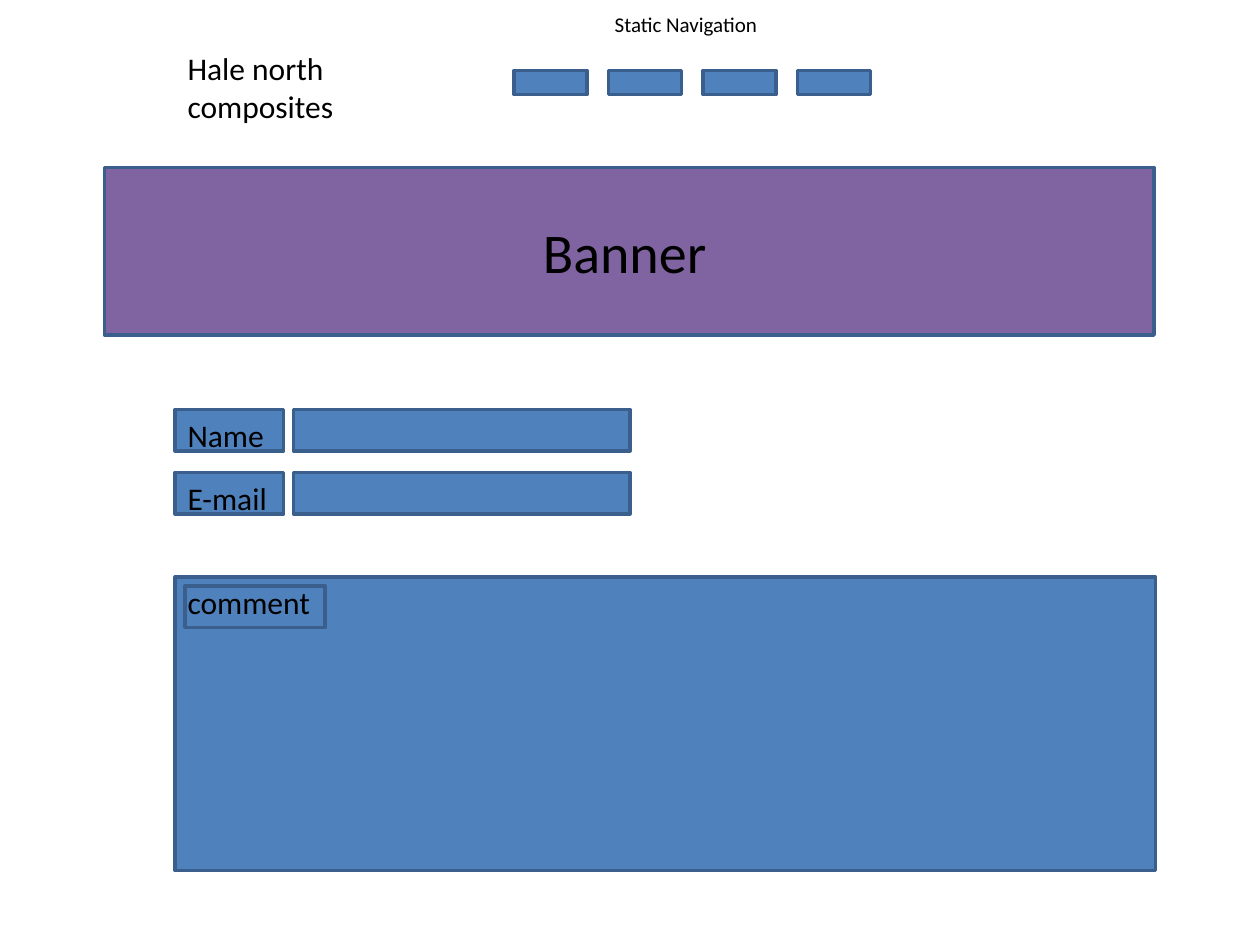
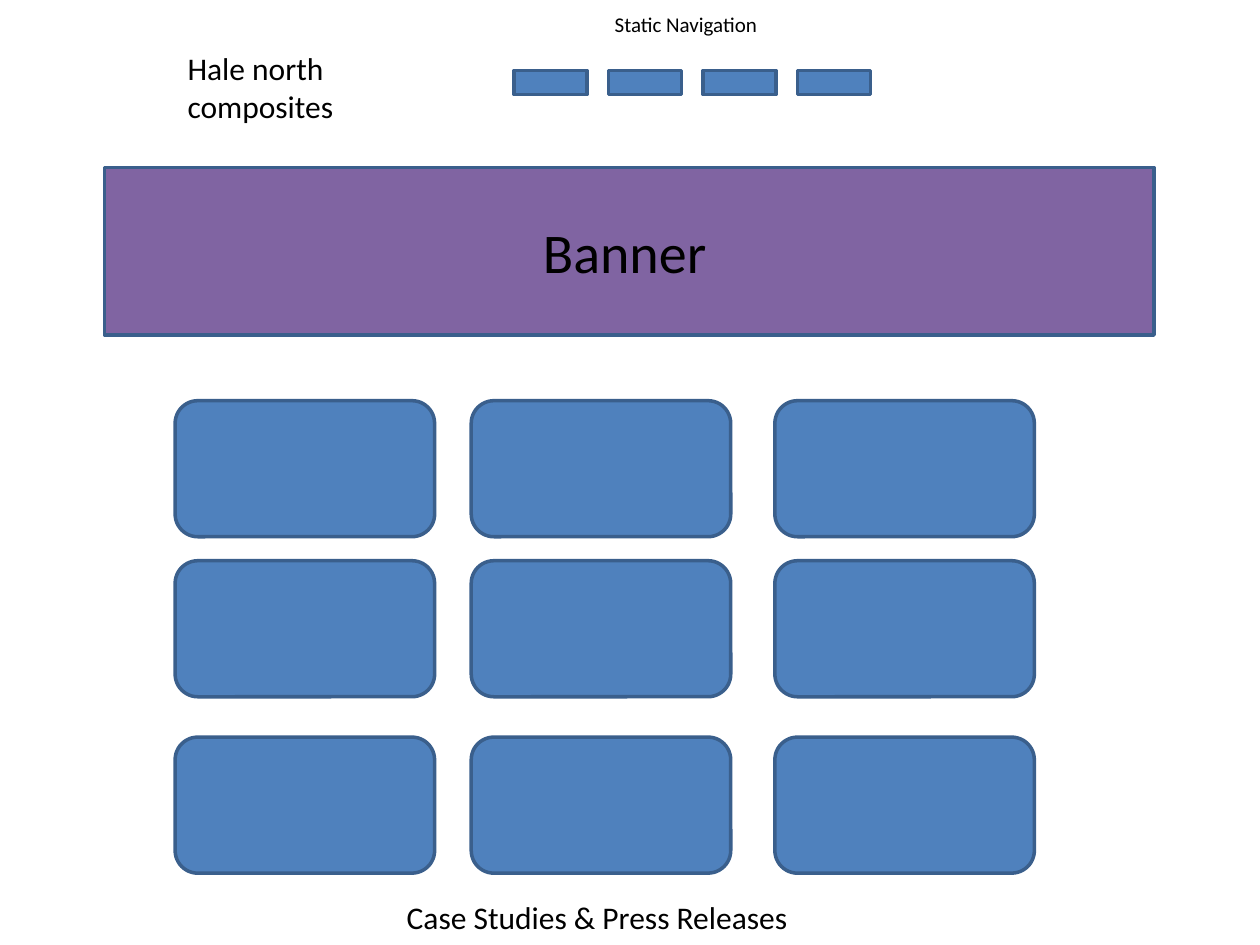
from dataclasses import dataclass

from pptx import Presentation
from pptx import util as u
from pptx.dml.color import RGBColor
from pptx.enum import shapes, text


@dataclass(frozen=True)
class Theme:
    font: str = "Calibri"
    ink: str = "000000"
    block: str = "4F81BD"
    banner: str = "8064A2"
    outline: str = "3A5F8C"
    line: float = 2
    small: int = 12
    body: int = 18
    large: int = 32


theme = Theme()
RECT = shapes.MSO_SHAPE.RECTANGLE
ROUNDED = shapes.MSO_SHAPE.ROUNDED_RECTANGLE


def add_block(parent, kind, x, y, w, h, fill=theme.block):
    sp = parent.shapes.add_shape(kind, *map(u.Inches, (x, y, w, h)))
    sp.shadow.inherit = False
    sp.fill.solid()
    sp.fill.fore_color.rgb = RGBColor.from_string(fill)
    sp.line.color.rgb = RGBColor.from_string(theme.outline)
    sp.line.width = u.Pt(theme.line)


def add_label(parent, words, x, y, w, h, size=theme.body):
    sp = parent.shapes.add_textbox(*map(u.Inches, (x, y, w, h)))
    tf = sp.text_frame
    tf.word_wrap = True
    tf.auto_size = text.MSO_AUTO_SIZE.SHAPE_TO_FIT_TEXT
    r = tf.paragraphs[0].add_run()
    r.text = words
    r.font.name = theme.font
    r.font.size = u.Pt(size)
    r.font.color.rgb = RGBColor.from_string(theme.ink)


prs = Presentation()
prs.slide_width, prs.slide_height = u.Inches(10), u.Inches(7.5)
blank = prs.slide_layouts[6]
contact, studies = [prs.slides.add_slide(blank) for _ in range(2)]
left = 1.39

# Shared header: site name, navigation buttons, banner
for s in (contact, studies):
    add_label(s, "Hale north composites", left, 0.34, 1.5, 0.71)
    nav = s.shapes.add_group_shape()
    for i in range(4):
        add_block(nav, RECT, 4.08 + 0.75 * i, 0.56, 0.58, 0.19)
    add_label(s, "Static Navigation", 4.78, 0.04, 1.42, 0.3, theme.small)
    banner = s.shapes.add_group_shape()
    add_block(banner, RECT, 0.83, 1.33, 8.33, 1.33, theme.banner)
    add_label(banner, "Banner", 4.21, 1.68, 1.65, 0.64, theme.large)

# Contact form: labelled fields
for i, field in enumerate(("Name", "E-mail")):
    y = 3.25 + 0.5 * i
    add_block(contact, RECT, left, y, 0.86, 0.33)
    add_block(contact, RECT, 2.33, y, 2.67, 0.33)
    add_label(contact, field, left, y, 0.86, 0.4)

# Contact form: comment area
add_block(contact, RECT, left, 4.58, 7.78, 2.33)
comment = contact.shapes.add_group_shape()
add_block(comment, RECT, 1.47, 4.65, 1.11, 0.33)
add_label(comment, "comment", left, 4.58, 1.28, 0.4)

# Case studies: three by three cards and caption
cards = studies.shapes.add_group_shape()
for y in (3.18, 4.45, 5.85):
    for x in (left, 3.74, 6.15):
        add_block(cards, ROUNDED, x, y, 2.06, 1.08)
add_label(studies, "Case Studies & Press Releases", 3.13, 7.08, 5.04, 0.42)

prs.save("out.pptx")
